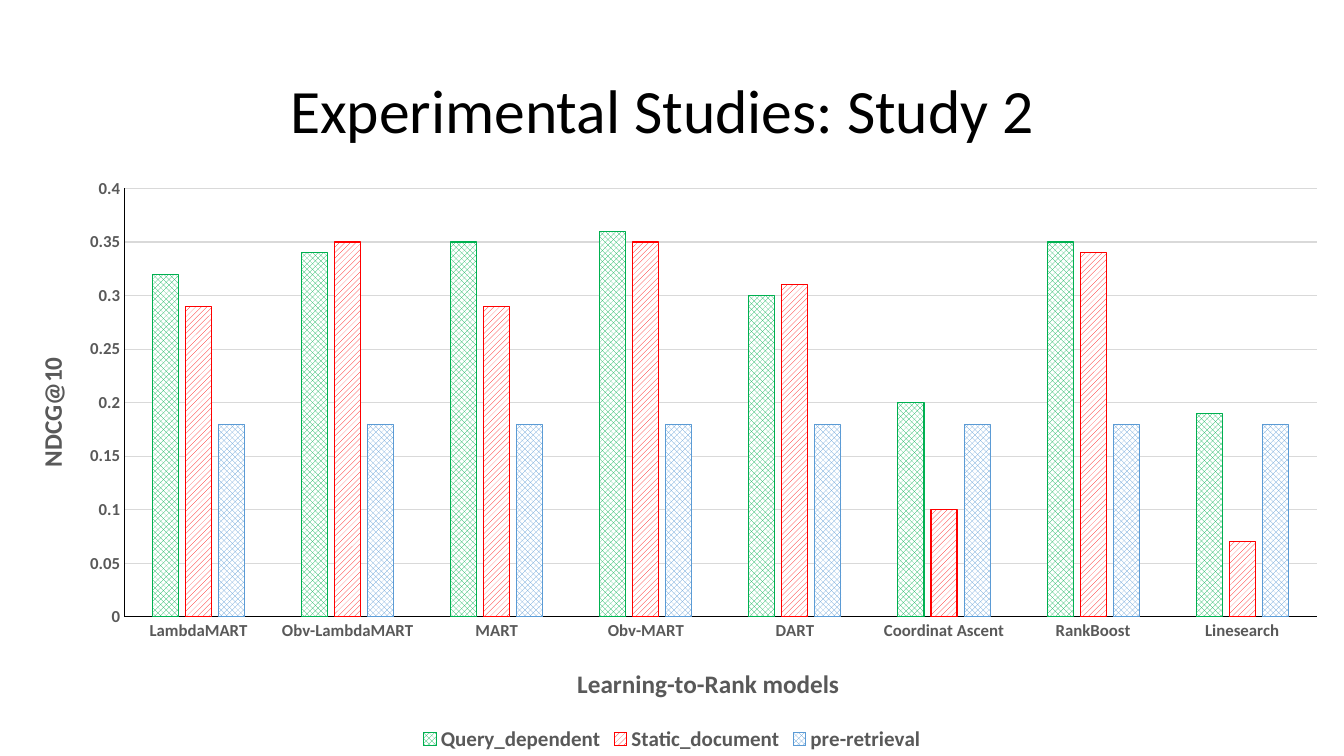
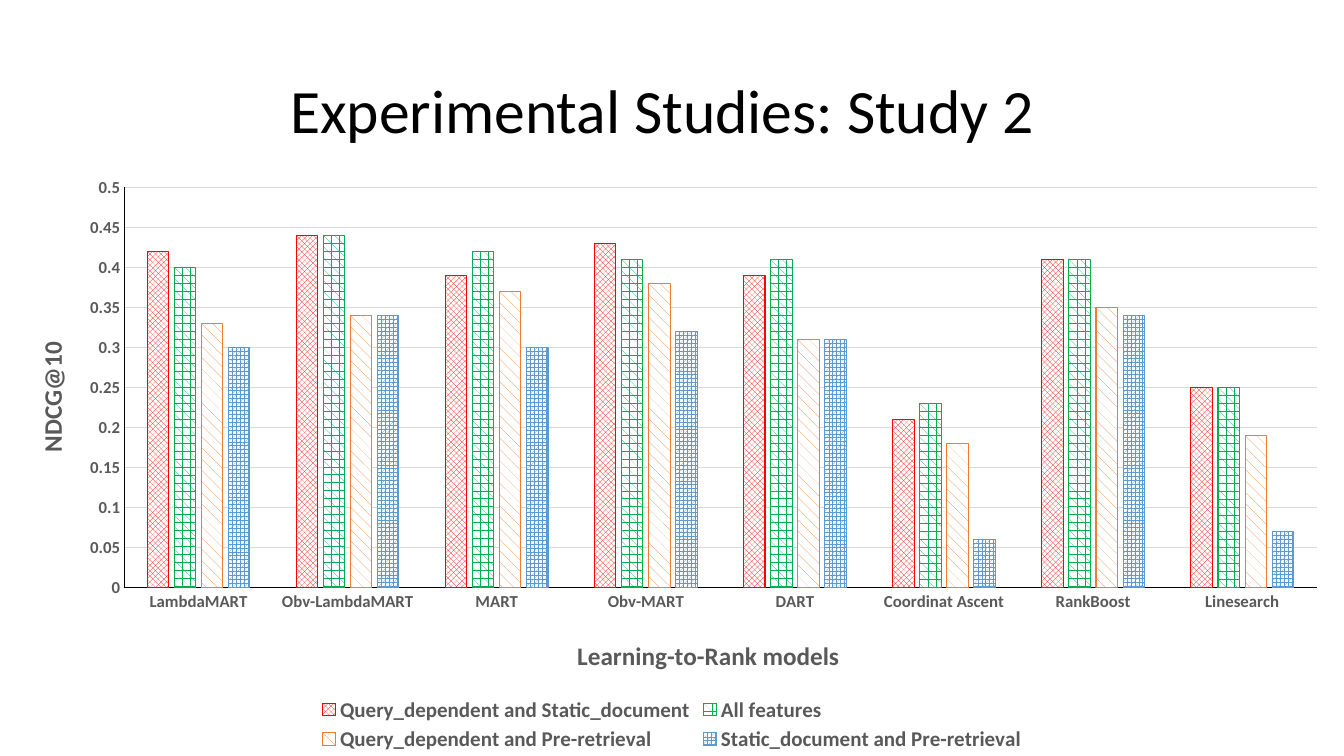
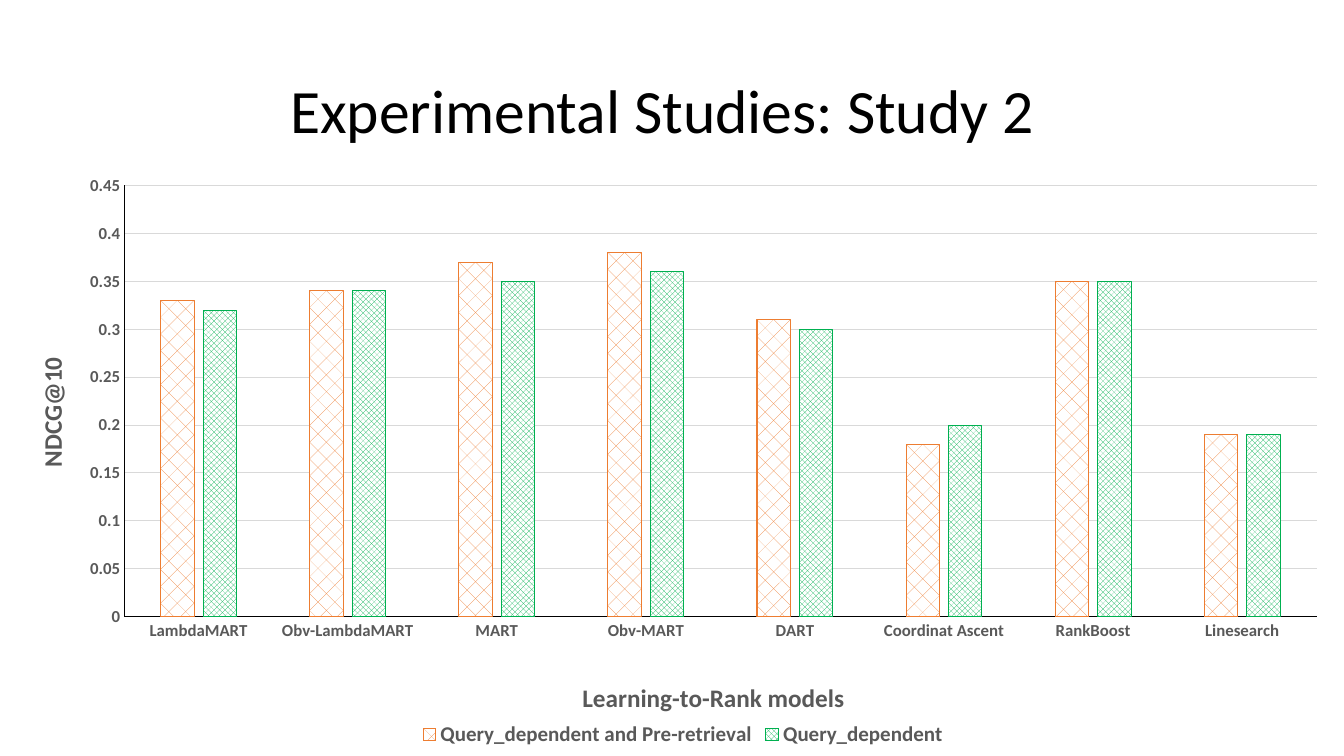
from dataclasses import dataclass

from lxml import etree
from pptx import Presentation
from pptx import util as u
from pptx.chart.data import CategoryChartData
from pptx.dml.color import RGBColor
from pptx.enum import chart as charts, dml, text
from pptx.oxml.ns import qn

PATTERN = dml.MSO_PATTERN


@dataclass(frozen=True)
class Theme:
    font: str = "Calibri"
    black: str = "000000"
    white: str = "FFFFFF"
    gray: str = "595959"
    grid: str = "D9D9D9"
    green: str = "00B050"
    red: str = "FF0000"
    blue: str = "5B9BD5"
    orange: str = "ED7D31"
    title_size: int = 44
    axis_title_size: int = 18
    legend_size: int = 15
    tick_size: int = 12
    chart_size: int = 10
    line_width: float = 0.75


THEME = Theme()
WIDTH, HEIGHT = 13.33, 7.5
PLOT_LEFT, PLOT_RIGHT = 1.23, 13.06
HEADING = "Experimental Studies: Study 2 "
MODELS = ("LambdaMART", "Obv-LambdaMART", "MART", "Obv-MART",
          "DART", "Coordinat Ascent", "RankBoost", "Linesearch")

QUERY = ("Query_dependent",
         (0.32, 0.34, 0.35, 0.36, 0.3, 0.2, 0.35, 0.19),
         PATTERN.LARGE_CHECKER_BOARD, THEME.green)
STATIC = ("Static_document",
          (0.29, 0.35, 0.29, 0.35, 0.31, 0.1, 0.34, 0.07),
          PATTERN.WIDE_UPWARD_DIAGONAL, THEME.red)
PRE_RETRIEVAL = ("pre-retrieval", (0.18,) * len(MODELS),
                 PATTERN.SOLID_DIAMOND, THEME.blue)
QUERY_STATIC = ("Query_dependent and Static_document",
                (0.42, 0.44, 0.39, 0.43, 0.39, 0.21, 0.41, 0.25),
                PATTERN.OUTLINED_DIAMOND, THEME.red)
ALL_FEATURES = ("All features",
                (0.4, 0.44, 0.42, 0.41, 0.41, 0.23, 0.41, 0.25),
                PATTERN.PLAID, THEME.green)
QUERY_PRE = ("Query_dependent and Pre-retrieval",
             (0.33, 0.34, 0.37, 0.38, 0.31, 0.18, 0.35, 0.19),
             PATTERN.SHINGLE, THEME.orange)
STATIC_PRE = ("Static_document and Pre-retrieval",
              (0.3, 0.34, 0.3, 0.32, 0.31, 0.06, 0.34, 0.07),
              PATTERN.SPHERE, THEME.blue)
QUERY_PRE_BRICK = (*QUERY_PRE[:2], PATTERN.DIAGONAL_BRICK, THEME.orange)

STUDIES = (
    dict(series=(QUERY, STATIC, PRE_RETRIEVAL), top=1.65, maximum=0.4,
         plot=(1.87, 6.12), models_at=(5.68, 6.57), score_at=(0.3, 3.5)),
    dict(series=(QUERY_STATIC, ALL_FEATURES, QUERY_PRE, STATIC_PRE),
         top=1.64, maximum=0.5,
         plot=(1.86, 5.83), models_at=(5.68, 6.29), score_at=(0.3, 3.35)),
    dict(series=(QUERY_PRE_BRICK, QUERY), top=1.63, maximum=0.45,
         plot=(1.84, 6.12), models_at=(5.73, 6.7), score_at=(0.3, 3.5),
         legend_at=(4.13, 7.12)),
)


def style(font, size, color, bold=False):
    font.name = THEME.font
    font.size = u.Pt(size)
    font.bold = bold
    font.color.rgb = RGBColor.from_string(color)


def write(frame, words, size, color, bold=False, align=None, spacing=None):
    paragraph = frame.paragraphs[0]
    run = paragraph.add_run()
    run.text = words
    style(run.font, size, color, bold)
    if align is not None:
        paragraph.alignment = align
    if spacing is not None:
        paragraph.line_spacing = spacing


def stroke(line, color):
    line.color.rgb = RGBColor.from_string(color)
    line.width = u.Pt(THEME.line_width)


def place(part, index, **settings):
    old = part.find(qn("c:layout"))
    if old is not None:
        part.remove(old)
    layout = etree.Element(qn("c:layout"))
    manual = etree.SubElement(layout, qn("c:manualLayout"))
    for tag, value in settings.items():
        etree.SubElement(manual, qn(f"c:{tag}")).set("val", str(value))
    part.insert(index, layout)


class Deck:
    def __init__(self):
        self.file = Presentation()
        self.file.slide_width = u.Inches(WIDTH)
        self.file.slide_height = u.Inches(HEIGHT)
        self.slide = None

    def add_slide(self):
        self.slide = self.file.slides.add_slide(self.file.slide_layouts[5])

    def title(self, words):
        heading = self.slide.shapes.title
        heading.left, heading.top = u.Inches(0.64), u.Inches(0.4)
        heading.width, heading.height = u.Inches(12), u.Inches(1.45)
        frame = heading.text_frame
        frame.auto_size = text.MSO_AUTO_SIZE.NONE
        frame.vertical_anchor = text.MSO_ANCHOR.MIDDLE
        write(frame, words, THEME.title_size, THEME.black,
              align=text.PP_ALIGN.CENTER, spacing=0.9)

    def axis(self, axis, words, at, top, rotation=0):
        axis.major_tick_mark = axis.minor_tick_mark = charts.XL_TICK_MARK.NONE
        style(axis.tick_labels.font, THEME.tick_size, THEME.gray, True)
        stroke(axis.format.line, THEME.black)
        caption = axis.axis_title
        write(caption.text_frame, words, THEME.axis_title_size, THEME.gray, True)
        element = caption._element
        body = next(element.iter(qn("a:bodyPr")))
        body.set("rot", str(rotation * 60000))
        body.set("vert", "horz")
        self.pin(element, at, top)

    def pin(self, part, at, top):
        place(part, 1, xMode="edge", yMode="edge",
              x=round(at[0] / WIDTH, 4),
              y=round((at[1] - top) / (HEIGHT - top), 4))

    def columns(self, series, top, maximum, plot, models_at, score_at,
                legend_at=None):
        data = CategoryChartData(number_format="General")
        data.categories = MODELS
        for name, values, _, _ in series:
            data.add_series(name, values)
        height = HEIGHT - top
        chart = self.slide.shapes.add_chart(
            charts.XL_CHART_TYPE.COLUMN_CLUSTERED, 0, u.Inches(top),
            u.Inches(WIDTH), u.Inches(height), data).chart
        chart.has_title = False
        style(chart.font, THEME.chart_size, THEME.black)

        bars = chart.plots[0]
        bars.vary_by_categories = False
        bars.gap_width, bars.overlap = 219, -27
        for bar, (_, _, pattern, color) in zip(bars.series, series):
            fill = bar.format.fill
            fill.patterned()
            fill.pattern = pattern
            fill.fore_color.rgb = RGBColor.from_string(color)
            fill.back_color.rgb = RGBColor.from_string(THEME.white)
            stroke(bar.format.line, color)

        scores = chart.value_axis
        scores.minimum_scale, scores.maximum_scale = 0, maximum
        scores.major_unit = 0.05
        scores.has_major_gridlines = True
        stroke(scores.major_gridlines.format.line, THEME.grid)
        self.axis(chart.category_axis, "Learning-to-Rank models", models_at, top)
        self.axis(scores, "NDCG@10", score_at, top, rotation=-90)

        plot_top, plot_bottom = plot
        place(next(chart._chartSpace.iter(qn("c:plotArea"))), 0,
              layoutTarget="inner", xMode="edge", yMode="edge",
              x=round(PLOT_LEFT / WIDTH, 4),
              y=round((plot_top - top) / height, 4),
              w=round((PLOT_RIGHT - PLOT_LEFT) / WIDTH, 4),
              h=round((plot_bottom - plot_top) / height, 4))

        chart.has_legend = True
        legend = chart.legend
        legend.position = charts.XL_LEGEND_POSITION.BOTTOM
        legend.include_in_layout = False
        style(legend.font, THEME.legend_size, THEME.gray, True)
        if legend_at:
            self.pin(legend._element, legend_at, top)


def main():
    deck = Deck()
    for study in STUDIES:
        deck.add_slide()
        deck.title(HEADING)
        deck.columns(**study)
    deck.file.save("out.pptx")


if __name__ == "__main__":
    main()
